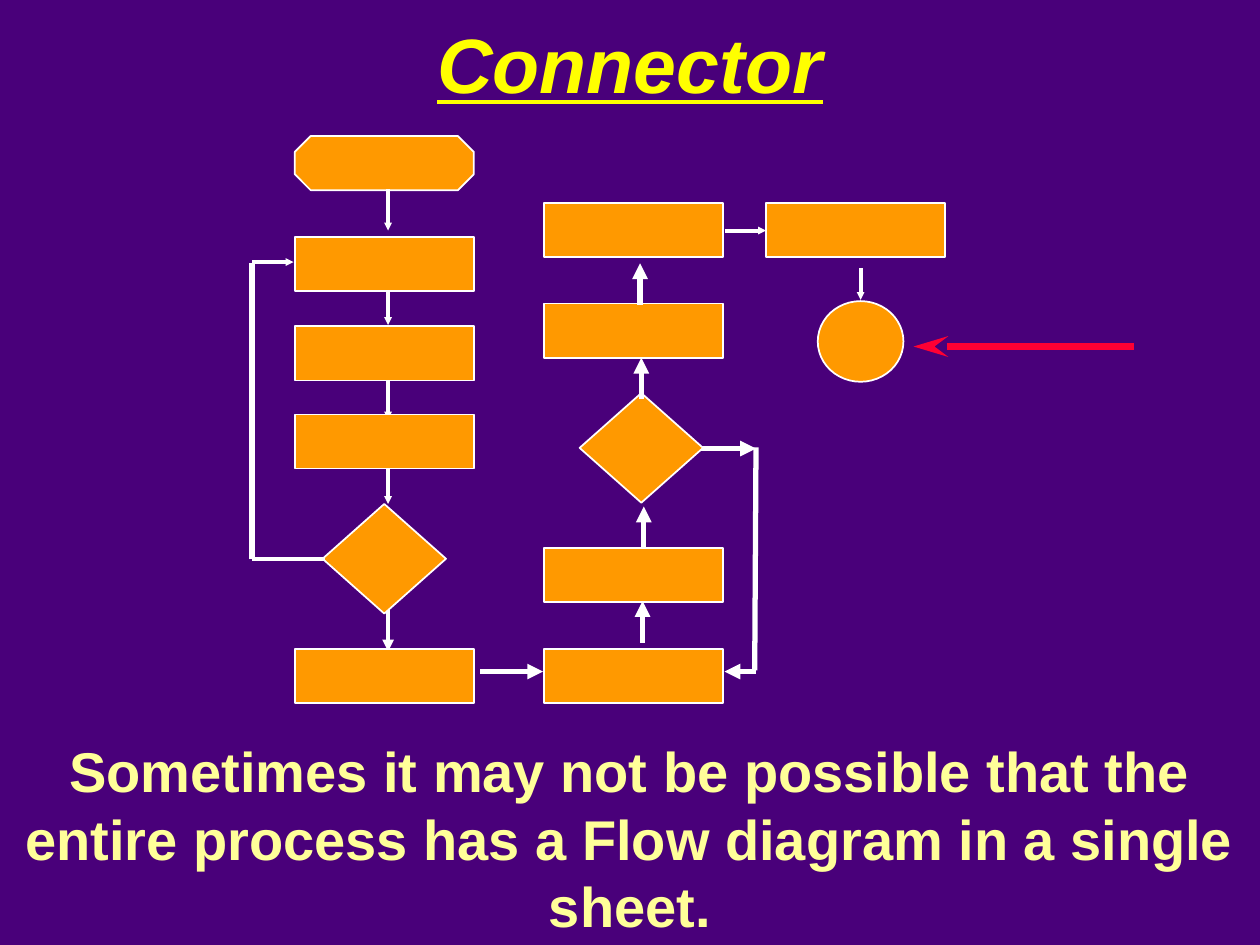
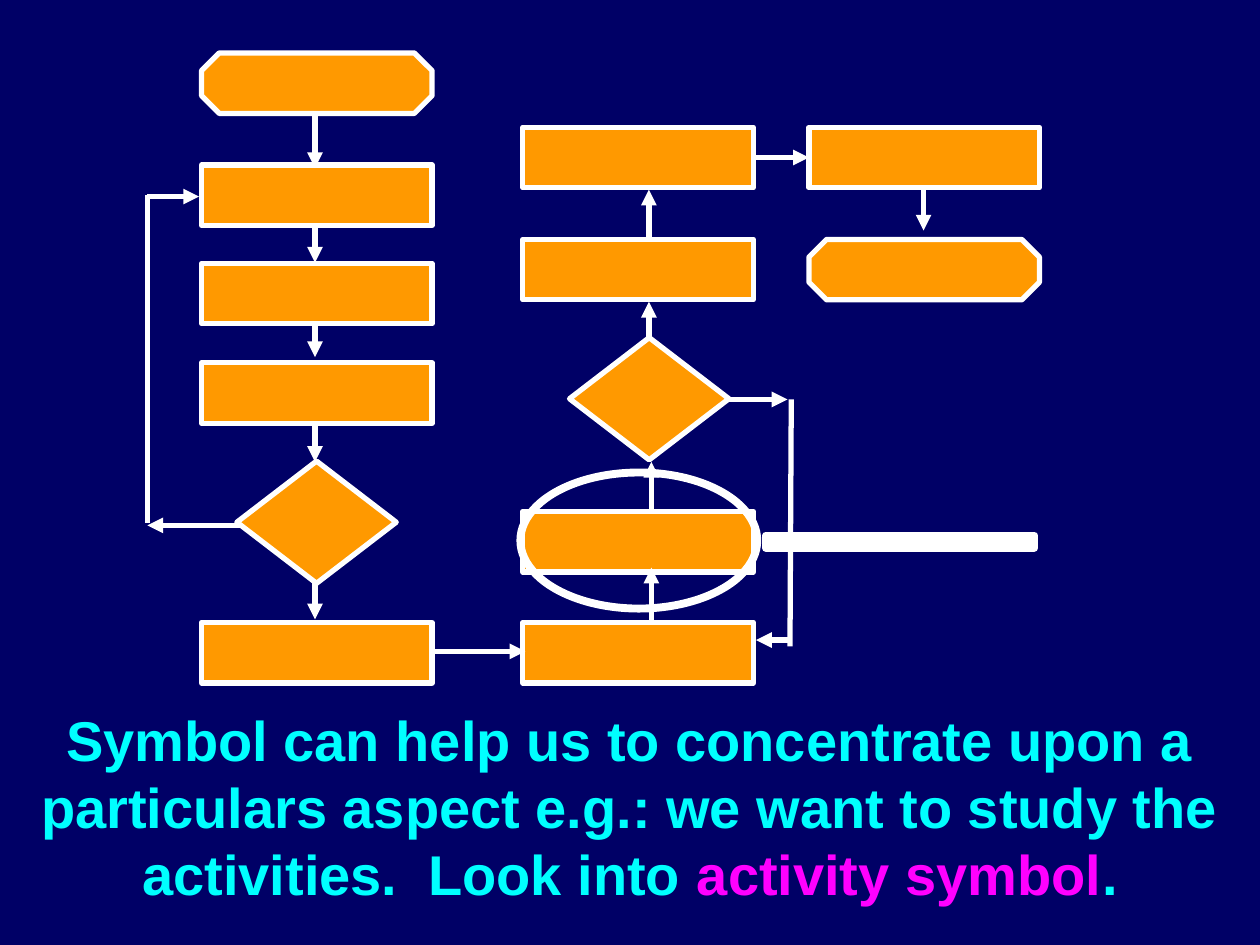
from dataclasses import dataclass

from lxml.etree import SubElement
from pptx import Presentation
from pptx.dml.color import RGBColor
from pptx.enum.shapes import MSO_CONNECTOR as Connector, MSO_SHAPE as Preset
from pptx.enum.text import MSO_ANCHOR as Anchor, MSO_AUTO_SIZE as AutoSize, PP_ALIGN as Align
from pptx.oxml.ns import qn
from pptx.util import Inches, Pt

COLUMNS, ROWS = 100, 75
TITLE_ONLY, BLANK = 5, 6


@dataclass(frozen=True)
class Theme:
    font: str = "Arial"
    title_size: int = 44
    caption_size: int = 32
    violet: str = "49007A"
    navy: str = "000066"
    symbol: str = "FF9900"
    line: str = "FFFFFF"
    pointer: str = "FF0033"
    title: str = "FFFF00"
    pale_yellow: str = "FFFF99"
    cyan: str = "00FFFF"
    magenta: str = "FF00FF"
    flow_width: float = 3
    thin_width: float = 2.25


class Deck:
    """Holds the theme and the current slide; lengths are grid columns and rows."""

    def __init__(self, theme):
        self.theme = theme
        self.presentation = Presentation()
        self.presentation.slide_width = Inches(10)
        self.presentation.slide_height = Inches(7.5)
        self.slide = None

    def x(self, columns):
        return round(self.presentation.slide_width * columns / COLUMNS)

    def y(self, rows):
        return round(self.presentation.slide_height * rows / ROWS)

    def place(self, left, top, width, height):
        return self.x(left), self.y(top), self.x(width), self.y(height)

    def new_slide(self, layout, background):
        layouts = self.presentation.slide_layouts
        self.slide = self.presentation.slides.add_slide(layouts[layout])
        fill = self.slide.background.fill
        fill.solid()
        fill.fore_color.rgb = RGBColor.from_string(background)

    def set_text(self, shape, runs, size, italic=False, underline=False):
        """Fills a shape with one centred paragraph of (text, colour) runs."""
        frame = shape.text_frame
        frame.word_wrap = True
        frame.auto_size = AutoSize.SHAPE_TO_FIT_TEXT
        frame.vertical_anchor = Anchor.TOP
        paragraph = frame.paragraphs[0]
        paragraph.alignment = Align.CENTER
        for text, color in runs:
            run = paragraph.add_run()
            run.text = text
            font = run.font
            font.name, font.size, font.bold = self.theme.font, Pt(size), True
            font.italic, font.underline = italic, underline
            font.color.rgb = RGBColor.from_string(color)

    def title(self, text):
        shape = self.slide.shapes.title
        shape.left, shape.top, shape.width, shape.height = self.place(0, 0.8, COLUMNS, 8.3)
        self.set_text(shape, [(text, self.theme.title)], self.theme.title_size,
                      italic=True, underline=True)

    def caption(self, top, *runs):
        shape = self.slide.shapes.add_textbox(*self.place(0, top, COLUMNS, 17))
        self.set_text(shape, runs, self.theme.caption_size)

    def symbol(self, preset, left, top, size, outline, fill=None):
        shape = self.slide.shapes.add_shape(preset, *self.place(left, top, *size))
        shape.shadow.inherit = False
        if preset == Preset.OCTAGON:
            shape.adjustments[0] = 0.293
        if fill:
            shape.fill.solid()
            shape.fill.fore_color.rgb = RGBColor.from_string(fill)
        else:
            shape.fill.background()
        shape.line.color.rgb = RGBColor.from_string(self.theme.line)
        shape.line.width = Pt(outline)

    def symbols(self, preset, size, outline, places):
        for left, top in places:
            self.symbol(preset, left, top, size, outline, self.theme.symbol)

    def line(self, start, end, width=None, color=None, head=None):
        """Draws a line; head is (type, width, length) of the arrowhead at its end."""
        connector = self.slide.shapes.add_connector(
            Connector.STRAIGHT, self.x(start[0]), self.y(start[1]),
            self.x(end[0]), self.y(end[1]))
        connector.line.width = Pt(width or self.theme.flow_width)
        connector.line.color.rgb = RGBColor.from_string(color or self.theme.line)
        properties = connector.element.spPr
        if head:
            tail_end = SubElement(properties.find(qn("a:ln")), qn("a:tailEnd"))
            for name, value in zip(("type", "w", "len"), head):
                tail_end.set(name, value)
        SubElement(properties, qn("a:effectLst"))

    def arrow(self, start, end, width=None, head_size="med"):
        self.line(start, end, width, head=("triangle", head_size, head_size))

    def thin_arrow(self, start, end):
        self.arrow(start, end, self.theme.thin_width, "sm")

    def vertical_arrows(self, draw, starts, length):
        for x, y in starts:
            draw((x, y), (x, y + length))


def connector_slide(deck):
    theme = deck.theme
    deck.new_slide(TITLE_ONLY, theme.violet)
    deck.caption(58, ("Sometimes it may not be possible that the entire process has "
                      "a Flow diagram in a single sheet.", theme.pale_yellow))
    deck.title("Connector")
    deck.line((90, 27.5), (72.5, 27.5), 4, theme.pointer, ("stealth", "med", "lg"))

    # Arrows behind the symbols
    deck.arrow((55, 35.6), (60, 35.6))
    deck.arrow((30.8, 48.3), (30.8, 51.7), theme.thin_width)
    deck.vertical_arrows(deck.thin_arrow, [(30.8, y) for y in (36.7, 30, 22.5)], 3.3)

    # Symbols, column by column
    first, second, third = 23.4, 43.2, 60.8
    box = (14.2, 4.3)
    deck.symbols(Preset.OCTAGON, box, 1, [(first, 10.8)])
    deck.symbols(Preset.RECTANGLE, box, 1,
                 [(first, top) for top in (18.8, 25.9, 32.9, 51.5)]
                 + [(second, top) for top in (16.1, 24.1, 43.5, 51.5)]
                 + [(third, 16.1)])
    deck.symbols(Preset.DIAMOND, (9.8, 8.7), 1, [(25.6, 40), (46, 31.2)])

    # Loops around the decisions
    deck.line((20, 44.4), (25.8, 44.4), theme.thin_width)
    deck.line((20, 44.4), (20, 20.9))
    deck.line((60, 35.5), (59.9, 53.2))
    deck.symbols(Preset.OVAL, (6.8, 6.4), 1, [(64.9, 23.9)])

    # Arrows in front of the symbols
    deck.thin_arrow((30.8, 15), (30.8, 18.3))
    deck.thin_arrow((20, 20.8), (23.3, 20.8))
    deck.arrow((38.1, 53.3), (43.1, 53.3))
    deck.vertical_arrows(deck.arrow, [(51, 51), (51.1, 43.5), (50.9, 31.7), (50.8, 24.2)], -3.3)
    deck.thin_arrow((57.5, 18.3), (60.8, 18.3))
    deck.thin_arrow((68.3, 21.3), (68.3, 23.8))
    deck.arrow((60, 53.3), (57.5, 53.3))


def activity_slide(deck):
    theme = deck.theme
    deck.new_slide(BLANK, theme.navy)
    deck.caption(55.5,
                 ("Symbol can help us to concentrate upon a particulars aspect e.g.: "
                  "we want to study the activities.  Look into ", theme.cyan),
                 ("activity symbol", theme.magenta), (".", theme.cyan))

    # Arrows behind the symbols
    step = 4.15
    deck.vertical_arrows(deck.arrow, [(51.5, 28.1), (51.7, 40.8)], -step)
    deck.vertical_arrows(deck.arrow, [(25, y) for y in (45, 32.5, 24.2, 16.7)], step)

    # Symbols, column by column
    first, second, third = 16, 41.5, 64.2
    box, outline = (18.3, 4.8), theme.flow_width
    deck.symbols(Preset.OCTAGON, box, outline, [(first, 4.2), (third, 19)])
    deck.symbols(Preset.RECTANGLE, box, outline,
                 [(first, top) for top in (13.1, 20.9, 28.8, 49.4)]
                 + [(second, top) for top in (10.1, 19, 40.6, 49.4)]
                 + [(third, 10.1)])
    deck.symbols(Preset.DIAMOND, (12.65, 9.7), outline, [(18.8, 36.6), (45.2, 26.8)])

    # Loops around the decisions
    deck.line((11.7, 41.5), (11.7, 15.5))
    deck.line((62.8, 31.7), (62.7, 51.3))

    # Arrows in front of the symbols
    deck.vertical_arrows(deck.arrow, [(25, 9.2)], step)
    deck.vertical_arrows(deck.arrow, [(51.7, 49.2), (51.5, 19.2)], -step)
    for start, end, y in ((19.2, 11.7, 41.7), (11.7, 15.8, 15.6), (34.2, 41.7, 51.7),
                          (60, 64.2, 12.5), (57.5, 62.5, 31.7), (62.5, 60, 50.8)):
        deck.arrow((start, y), (end, y))
    deck.arrow((73.3, 15), (73.3, 18.3))

    # Magnifying glass over the activity
    deck.symbol(Preset.OVAL, 41.3, 37.5, (18.8, 10.8), 4.5)
    deck.symbol(Preset.RECTANGLE, 60.8, 42.5, (21.3, 1), 4.5, theme.line)


def main():
    deck = Deck(Theme())
    connector_slide(deck)
    activity_slide(deck)
    deck.presentation.save("out.pptx")


if __name__ == "__main__":
    main()
